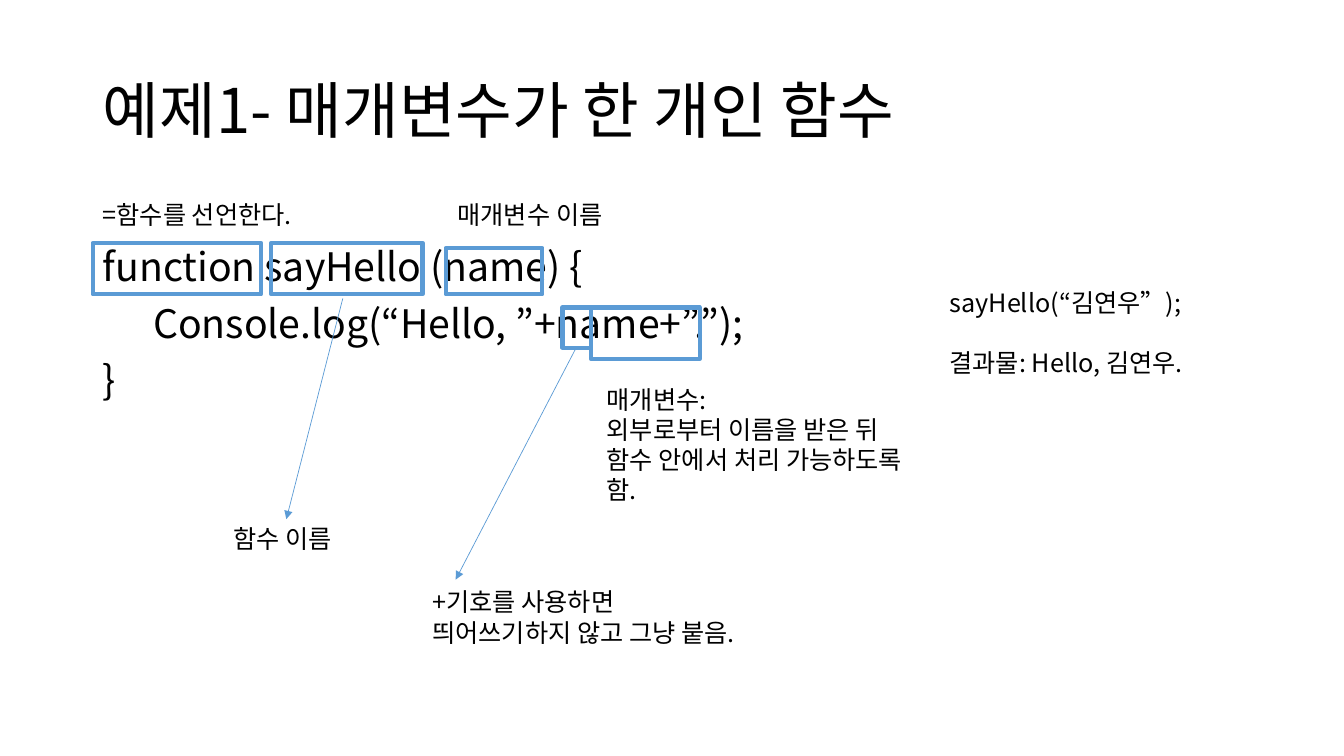
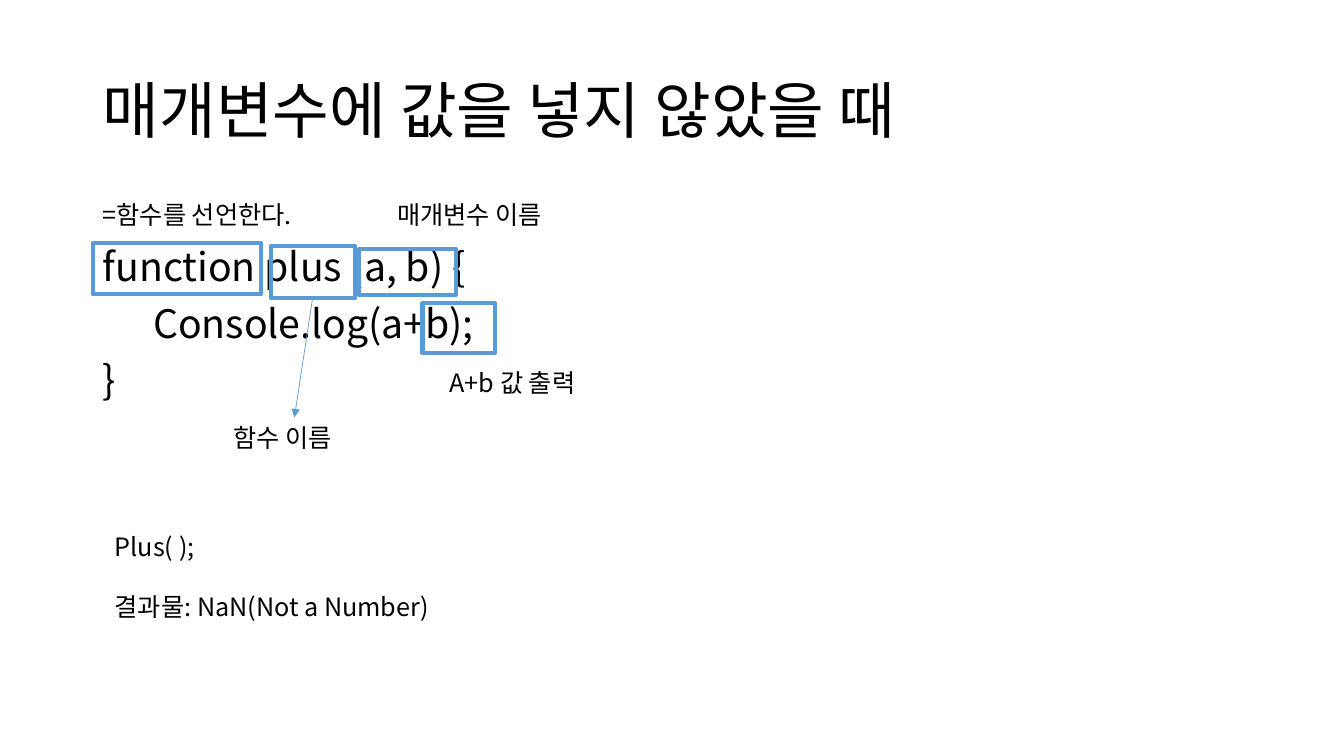
from lxml.etree import SubElement
from pptx import Presentation
from pptx.dml.color import RGBColor
from pptx.enum.shapes import MSO_CONNECTOR, MSO_SHAPE
from pptx.enum.text import MSO_ANCHOR, MSO_AUTO_SIZE, PP_ALIGN
from pptx.oxml.ns import qn
from pptx.util import Inches, Pt

FONT = "Noto Sans CJK KR"
BLACK = "000000"
BLUE = "5B9BD5"
TITLE_BOX = (0.92, 0.4, 11.5, 1.45)
CODE_BOX = (0.92, 2.41, 11.5, 4.76)
KEYWORD_MARK = (0, 0, 1.67, 0.51)
DECLARATION_NOTE = ((0, -0.48, 2.6, 0.4), ["=함수를 선언한다."])
RESULT_GAP = 21.6


def color(value):
    """Turn a hex string into a colour."""
    return RGBColor.from_string(value)


def inside(box, part):
    """Move a part given relative to a box onto the slide."""
    left, top, width, height = part
    return box[0] + left, box[1] + top, width, height


def place(shape, box):
    """Set the position and size of a shape."""
    shape.left, shape.top, shape.width, shape.height = map(Inches, box)


def add_text(frame, lines, size, gap=0, spacing=1.0):
    """Write each line as a left-aligned paragraph with one run."""
    frame.word_wrap = True
    for index, line in enumerate(lines):
        paragraph = frame.paragraphs[0] if index == 0 else frame.add_paragraph()
        paragraph.alignment = PP_ALIGN.LEFT
        paragraph.line_spacing = spacing
        paragraph.space_before = Pt(gap if index else 0)
        run = paragraph.add_run()
        run.text = line
        run.font.size = Pt(size)
        run.font.name = FONT
        run.font.color.rgb = color(BLACK)
        SubElement(run.font._element, qn("a:ea"), typeface=FONT)


def add_title(slide, text, box):
    """Fill the title placeholder."""
    title = slide.shapes.title
    place(title, box)
    title.text_frame.auto_size = MSO_AUTO_SIZE.NONE
    title.text_frame.vertical_anchor = MSO_ANCHOR.MIDDLE
    add_text(title.text_frame, [text], 44, spacing=0.9)


def add_code(slide, lines, box):
    """Fill the body placeholder with unbulleted code lines."""
    body = slide.placeholders[1]
    place(body, box)
    body.text_frame.auto_size = MSO_AUTO_SIZE.NONE
    add_text(body.text_frame, lines, 28, gap=10, spacing=0.9)
    for paragraph in body.text_frame.paragraphs:
        properties = paragraph._p.get_or_add_pPr()
        properties.set("marL", "0")
        properties.set("indent", "0")
        SubElement(properties, qn("a:buNone"))


def add_mark(slide, box):
    """Outline a piece of code."""
    mark = slide.shapes.add_shape(MSO_SHAPE.RECTANGLE, *map(Inches, box))
    mark.shadow.inherit = False
    mark.fill.background()
    mark.line.color.rgb = color(BLUE)
    mark.line.width = Pt(3)


def add_arrow(slide, box):
    """Draw an arrow from the top left of a box by its width and height."""
    left, top, width, height = box
    ends = map(Inches, (left, top, left + width, top + height))
    arrow = slide.shapes.add_connector(MSO_CONNECTOR.STRAIGHT, *ends)
    arrow.line.color.rgb = color(BLUE)
    arrow.line.width = Pt(0.5)
    SubElement(arrow.line._get_or_add_ln(), qn("a:tailEnd"), type="triangle")
    SubElement(arrow._element.spPr, qn("a:effectLst"))


def add_note(slide, lines, box, gap=0):
    """Add an explanatory text box."""
    frame = slide.shapes.add_textbox(*map(Inches, box)).text_frame
    add_text(frame, lines, 18, gap)
    frame.auto_size = MSO_AUTO_SIZE.SHAPE_TO_FIT_TEXT


def add_code_slide(presentation, title, code, marks, arrows, notes, result):
    """Build a slide of annotated code, its parts relative to the code box."""
    slide = presentation.slides.add_slide(presentation.slide_layouts[1])
    add_title(slide, title, TITLE_BOX)
    add_code(slide, code, CODE_BOX)
    for mark in [KEYWORD_MARK, *marks]:
        add_mark(slide, inside(CODE_BOX, mark))
    for arrow in arrows:
        add_arrow(slide, inside(CODE_BOX, arrow))
    for part, lines in [DECLARATION_NOTE, *notes]:
        add_note(slide, lines, inside(CODE_BOX, part))
    part, lines = result
    add_note(slide, lines, inside(CODE_BOX, part), RESULT_GAP)


presentation = Presentation()
presentation.slide_width = Inches(13.33)
presentation.slide_height = Inches(7.5)

add_code_slide(
    presentation,
    title="예제1- 매개변수가 한 개인 함수",
    code=["function sayHello (name) {", "\tConsole.log(“Hello, ”+name+”.”);", "}"],
    marks=[
        (1.77, 0, 1.5, 0.51),
        (3.5, 0.05, 0.96, 0.46),
        (4.66, 0.64, 0.28, 0.4),
        (4.94, 0.64, 1.08, 0.51),
    ],
    arrows=[(2.48, 0.55, -0.56, 2.19), (4.8, 1.03, -1.2, 2.31)],
    notes=[
        ((3.52, -0.48, 2.28, 0.4), ["매개변수 이름"]),
        ((1.3, 2.73, 2.22, 0.4), ["함수 이름"]),
        ((5, 1.35, 3.26, 1.31),
         ["매개변수:", "외부로부터 이름을 받은 뒤", "함수 안에서 처리 가능하도록 함."]),
        ((3.27, 3.36, 3.36, 0.71),
         ["+기호를 사용하면 띄어쓰기하지 않고 그냥 붙음."]),
    ],
    result=((8.4, 0.39, 3.4, 1.01), ["sayHello(“김연우”);", "결과물: Hello, 김연우."]),
)

add_code_slide(
    presentation,
    title="매개변수에 값을 넣지 않았을 때",
    code=["function plus (a, b) {", "\tConsole.log(a+b);", "}"],
    marks=[
        (1.77, 0.03, 0.83, 0.52),
        (2.64, 0.06, 0.96, 0.46),
        (3.27, 0.6, 0.72, 0.49),
    ],
    arrows=[(2.18, 0.55, -0.18, 1.18)],
    notes=[
        ((2.92, -0.48, 2.28, 0.4), ["매개변수 이름"]),
        ((1.3, 1.73, 2.22, 0.4), ["함수 이름"]),
        ((3.44, 1.18, 1.65, 0.4), ["A+b 값 출력"]),
    ],
    result=((0.12, 2.81, 3.39, 1.01), ["Plus( );", "결과물: NaN(Not a Number)"]),
)

presentation.save("out.pptx")
